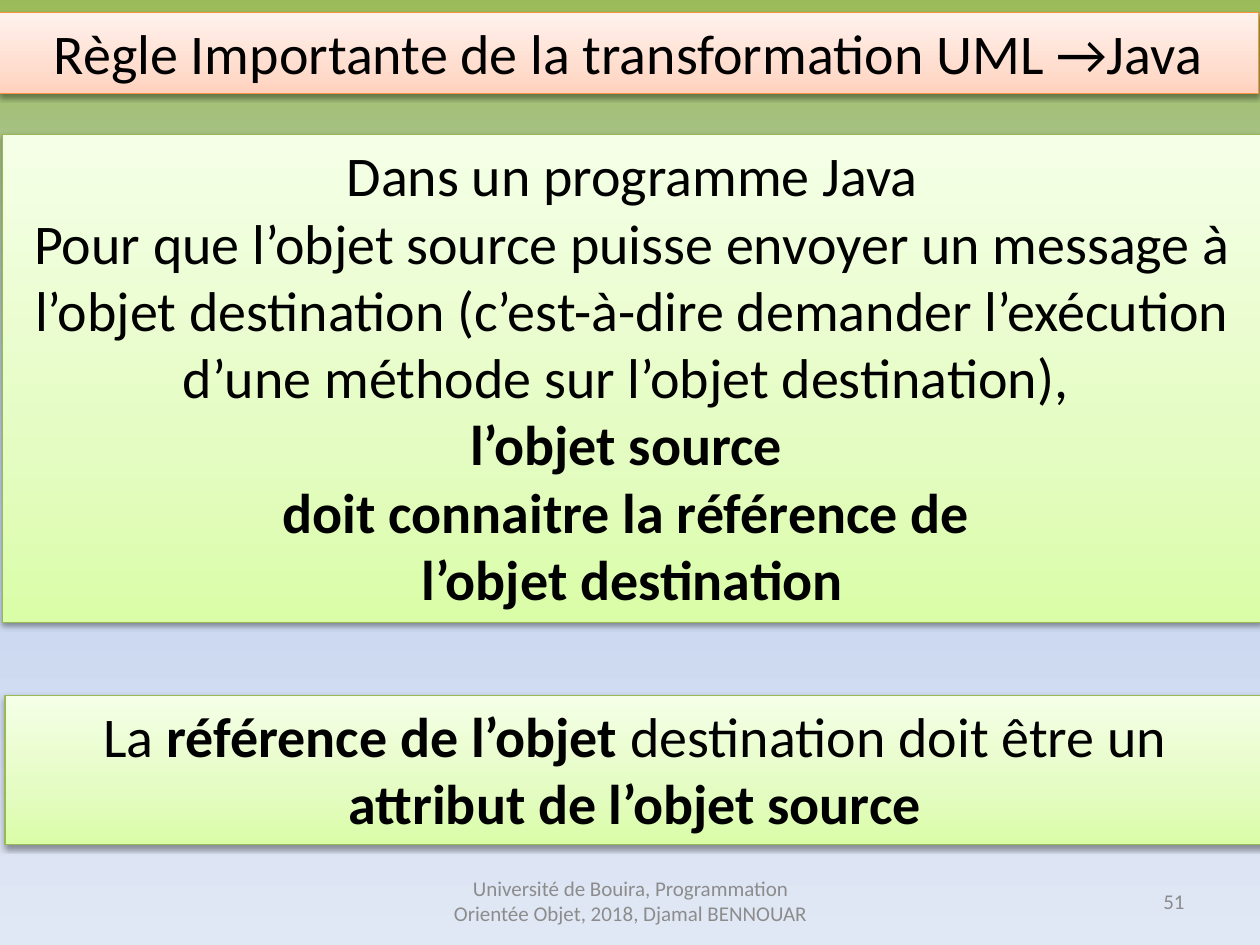
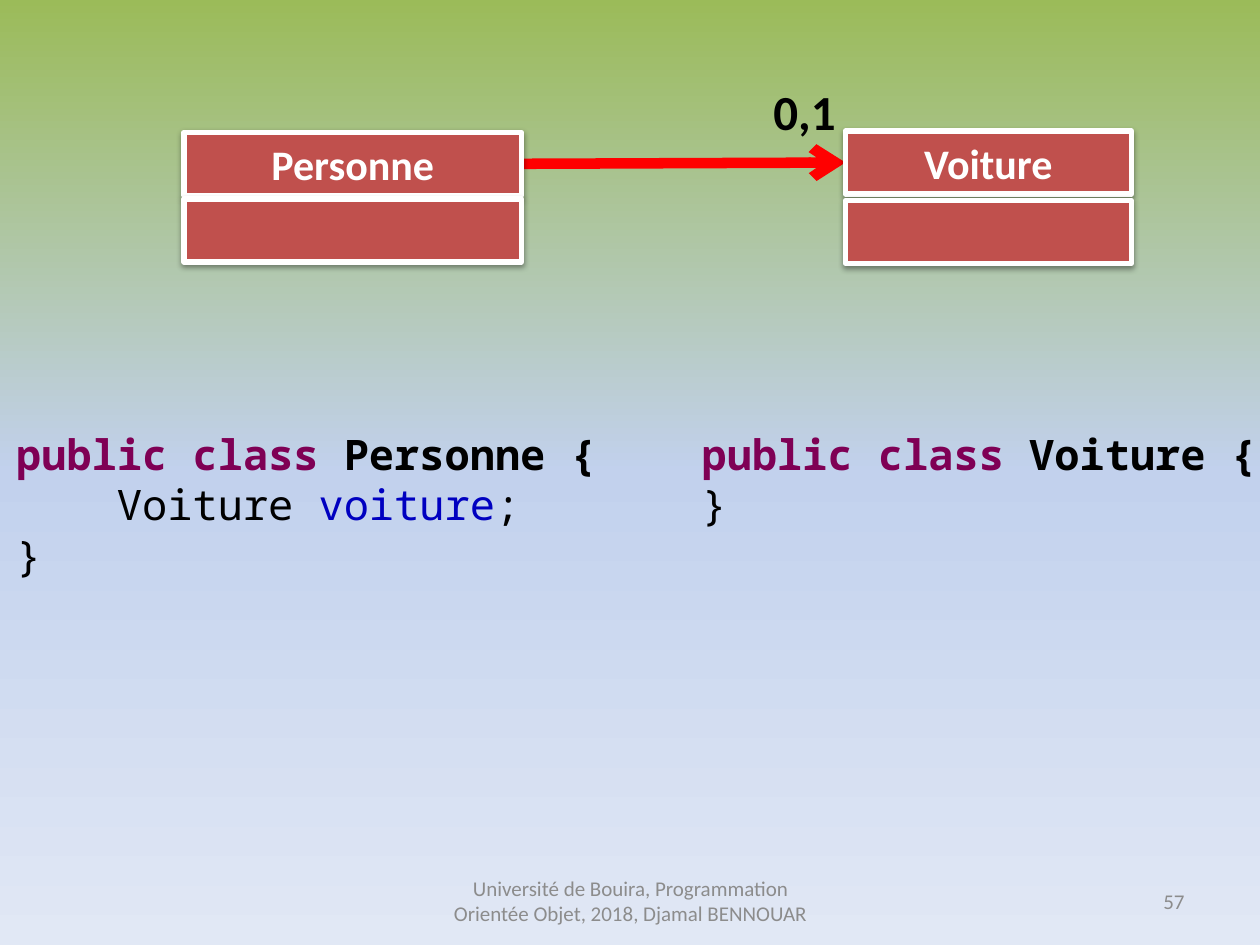
from dataclasses import dataclass
from typing import Any, Optional

import pptx
import pptx.dml.color
import pptx.enum.shapes
import pptx.enum.text
import pptx.oxml.ns
import pptx.oxml.xmlchemy
import pptx.util
from lxml import etree

Align = pptx.enum.text.PP_ALIGN
Anchor = pptx.enum.text.MSO_ANCHOR
RECTANGLE = pptx.enum.shapes.MSO_SHAPE.RECTANGLE
STRAIGHT = pptx.enum.shapes.MSO_CONNECTOR.STRAIGHT
qn = pptx.oxml.ns.qn

WIDTH, HEIGHT = pptx.util.Inches(10), pptx.util.Inches(7.5)
COLUMNS = 100  # square grid: 100 columns by 75 rows
CELL = WIDTH // COLUMNS

Stops = tuple[tuple[int, str], ...]


@dataclass(frozen=True)
class Theme:
    """Gradient stops run from top to bottom, in percent."""
    sky: Stops = ((0, "9BBB59"), (50, "C2D1ED"), (100, "E1E8F5"))
    peach: Stops = ((0, "FFF2ED"), (65, "FFDED0"), (100, "FFD2BD"))
    lime: Stops = ((0, "F5FFE7"), (65, "E4FCC2"), (100, "DAFDA7"))
    peach_line: str = "F69240"
    lime_line: str = "98B955"
    class_fill: str = "C0504D"
    arrow: str = "FF0000"
    keyword: str = "7F0055"
    field: str = "0000C0"
    grey: str = "8C8C8C"
    black: str = "000000"
    white: str = "FFFFFF"
    sans: str = "Calibri"
    mono: str = "Noto Sans Mono"
    large: int = 32
    label: int = 28
    medium: int = 24
    small: int = 12
    thin: float = 0.75
    medium_line: float = 3
    thick: float = 6


THEME = Theme()


@dataclass(frozen=True)
class Box:
    col: float
    row: float
    cols: float
    rows: float

    def emu(self) -> tuple[int, int, int, int]:
        return tuple(cells(v) for v in (self.col, self.row, self.cols, self.rows))


@dataclass(frozen=True)
class Span:
    text: str
    bold: bool = False
    color: Optional[str] = None


@dataclass(frozen=True)
class Para:
    spans: tuple[Span, ...]
    indent: float = 0  # in columns


@dataclass(frozen=True)
class TextStyle:
    size: int
    color: str = THEME.black
    font: str = THEME.sans
    align: Any = Align.LEFT
    anchor: Any = Anchor.TOP


@dataclass(frozen=True)
class Panel:
    box: Box
    stops: Stops
    line: str
    paras: tuple[Para, ...]


@dataclass(frozen=True)
class UmlClass:
    name: str
    col: float
    row: float
    cols: float
    pitch: float  # rows from the name box to the attribute box
    rows: float = 5

    @property
    def middle(self) -> float:
        return self.row + self.rows / 2


STATEMENT = TextStyle(THEME.large, align=Align.CENTER)
CLASS_NAME = TextStyle(THEME.medium, THEME.white, align=Align.CENTER)
CODE = TextStyle(THEME.medium, font=THEME.mono)
MULTIPLICITY = TextStyle(THEME.label)
FOOTER = TextStyle(THEME.small, THEME.grey, align=Align.CENTER, anchor=Anchor.MIDDLE)
PAGE = TextStyle(THEME.small, THEME.grey, align=Align.RIGHT, anchor=Anchor.MIDDLE)


def cells(count: float) -> int:
    return round(count * CELL)


def rgb(color: str) -> pptx.dml.color.RGBColor:
    return pptx.dml.color.RGBColor.from_string(color)


def para(text: str, bold: bool = False) -> Para:
    return Para((Span(text, bold),))


def write(shape: Any, paras: tuple[Para, ...], style: TextStyle) -> None:
    tf = shape.text_frame
    tf.word_wrap = True
    tf.auto_size = pptx.enum.text.MSO_AUTO_SIZE.NONE
    tf.vertical_anchor = style.anchor
    for i, item in enumerate(paras):
        p = tf.add_paragraph() if i else tf.paragraphs[0]
        p.alignment = style.align
        if item.indent:
            p._p.get_or_add_pPr().set("marL", str(cells(item.indent)))
        for span in item.spans:
            r = p.add_run()
            r.text = span.text
            r.font.name = style.font
            r.font.size = pptx.util.Pt(style.size)
            r.font.bold = span.bold
            r.font.color.rgb = rgb(span.color or style.color)


def fill_gradient(fill: Any, element: Any, stops: Stops) -> None:
    """Fill from top to bottom; element is the XML that holds the fill."""
    fill.gradient()
    fill.gradient_angle = 270
    stop_list = element.find(".//" + qn("a:gsLst"))
    for old in list(stop_list):
        stop_list.remove(old)
    for percent, color in stops:
        stop = etree.SubElement(stop_list, qn("a:gs"), pos=str(percent * 1000))
        etree.SubElement(stop, qn("a:srgbClr"), val=color)


def outline(shape: Any, color: str, width: float) -> None:
    shape.line.color.rgb = rgb(color)
    shape.line.width = pptx.util.Pt(width)


def drop_shadow(shape: Any) -> None:
    shape.shadow.inherit = False
    effects = shape._element.spPr.find(qn("a:effectLst"))
    shadow = etree.SubElement(effects, qn("a:outerShdw"), blurRad="40000", dist="20000",
                              dir="5400000", rotWithShape="0")
    color = etree.SubElement(shadow, qn("a:srgbClr"), val=THEME.black)
    etree.SubElement(color, qn("a:alpha"), val="38000")


def style_panel(sp: Any, panel: Panel) -> None:
    fill_gradient(sp.fill, sp._element, panel.stops)
    outline(sp, panel.line, THEME.thin)
    drop_shadow(sp)
    write(sp, panel.paras, STATEMENT)


def add_panel(shapes: Any, panel: Panel) -> None:
    style_panel(shapes.add_shape(RECTANGLE, *panel.box.emu()), panel)


def set_title(s: Any, panel: Panel) -> None:
    sp = s.shapes.title
    sp.left, sp.top, sp.width, sp.height = panel.box.emu()
    style_panel(sp, panel)


def add_text(shapes: Any, box: Box, paras: tuple[Para, ...], style: TextStyle) -> None:
    write(shapes.add_textbox(*box.emu()), paras, style)


def add_footer(s: Any, page: int) -> None:
    credit = "Université de Bouira, Programmation Orientée Objet, 2018, Djamal BENNOUAR"
    add_text(s.shapes, Box(34.2, 69.5, 31.7, 4), (para(credit),), FOOTER)
    add_text(s.shapes, Box(71.7, 69.5, 23.3, 4), (para(str(page)),), PAGE)


def add_class(shapes: Any, uml: UmlClass) -> None:
    for row, paras in ((uml.row, (para(uml.name, True),)), (uml.row + uml.pitch, ())):
        sp = shapes.add_shape(RECTANGLE, *Box(uml.col, row, uml.cols, uml.rows).emu())
        sp.fill.solid()
        sp.fill.fore_color.rgb = rgb(THEME.class_fill)
        outline(sp, THEME.white, THEME.medium_line)
        drop_shadow(sp)
        write(sp, paras, CLASS_NAME)


def add_association(shapes: Any, source: UmlClass, target: UmlClass) -> None:
    arrow = shapes.add_connector(STRAIGHT, cells(source.col + source.cols), cells(source.middle),
                                 cells(target.col), cells(target.middle))
    outline(arrow, THEME.arrow, THEME.thick)
    sp_pr = arrow._element.spPr
    etree.SubElement(sp_pr.find(qn("a:ln")), qn("a:tailEnd"), type="arrow")
    etree.SubElement(sp_pr, qn("a:effectLst"))


def class_header(name: str) -> Para:
    return Para((Span("public class", True, THEME.keyword), Span(f" {name} {{", True)))


def build_rule_slide(prs: Any) -> None:
    s = prs.slides.add_slide(prs.slide_layouts.get_by_name("Title Only"))
    add_footer(s, 51)
    set_title(s, Panel(Box(-0.1, 1, 100, 6.4), THEME.peach, THEME.peach_line,
                       (para("Règle Importante de la transformation UML →Java"),)))
    rule = (
        para("Dans un programme Java"),
        para("Pour que l’objet source puisse envoyer un message à l’objet destination "
             "(c’est-à-dire demander l’exécution d’une méthode sur l’objet destination), "),
        para("l’objet source ", True),
        para("doit connaitre la référence de ", True),
        para("l’objet destination", True),
    )
    consequence = Para((
        Span("La "),
        Span("référence de l’objet ", True),
        Span("destination doit être un "),
        Span("attribut de l’objet source", True),
    ))
    for box, paras in ((Box(0.2, 10.7, 100, 38.7), rule),
                       (Box(0.4, 55.2, 100, 11.8), (consequence,))):
        add_panel(s.shapes, Panel(box, THEME.lime, THEME.lime_line, paras))


def build_association_slide(prs: Any) -> None:
    s = prs.slides.add_slide(prs.slide_layouts.get_by_name("Blank"))
    add_footer(s, 57)
    closing = para("}")
    attribute = Para((Span("Voiture "), Span("voiture", color=THEME.field), Span(";")), indent=8)
    add_text(s.shapes, Box(0.3, 33.5, 57.2, 13.1),
             (class_header("Personne"), attribute, closing), CODE)
    add_text(s.shapes, Box(54.7, 33.5, 47.4, 9.1), (class_header("Voiture"), closing), CODE)

    diagram = s.shapes.add_group_shape().shapes
    person = UmlClass("Personne", 14.6, 10.5, 26.8, 5.3)
    car = UmlClass("Voiture", 67.1, 10.4, 22.7, 5.5)
    add_text(diagram, Box(60.4, 6, 10.9, 5.7), (para("0,1", True),), MULTIPLICITY)
    add_association(diagram, person, car)
    for uml in (person, car):
        add_class(diagram, uml)


def main() -> None:
    prs = pptx.Presentation()
    prs.slide_width, prs.slide_height = WIDTH, HEIGHT
    master = prs.slide_master
    fill_gradient(master.background.fill, master.element, THEME.sky)
    build_rule_slide(prs)
    build_association_slide(prs)
    prs.save("out.pptx")


if __name__ == "__main__":
    main()
